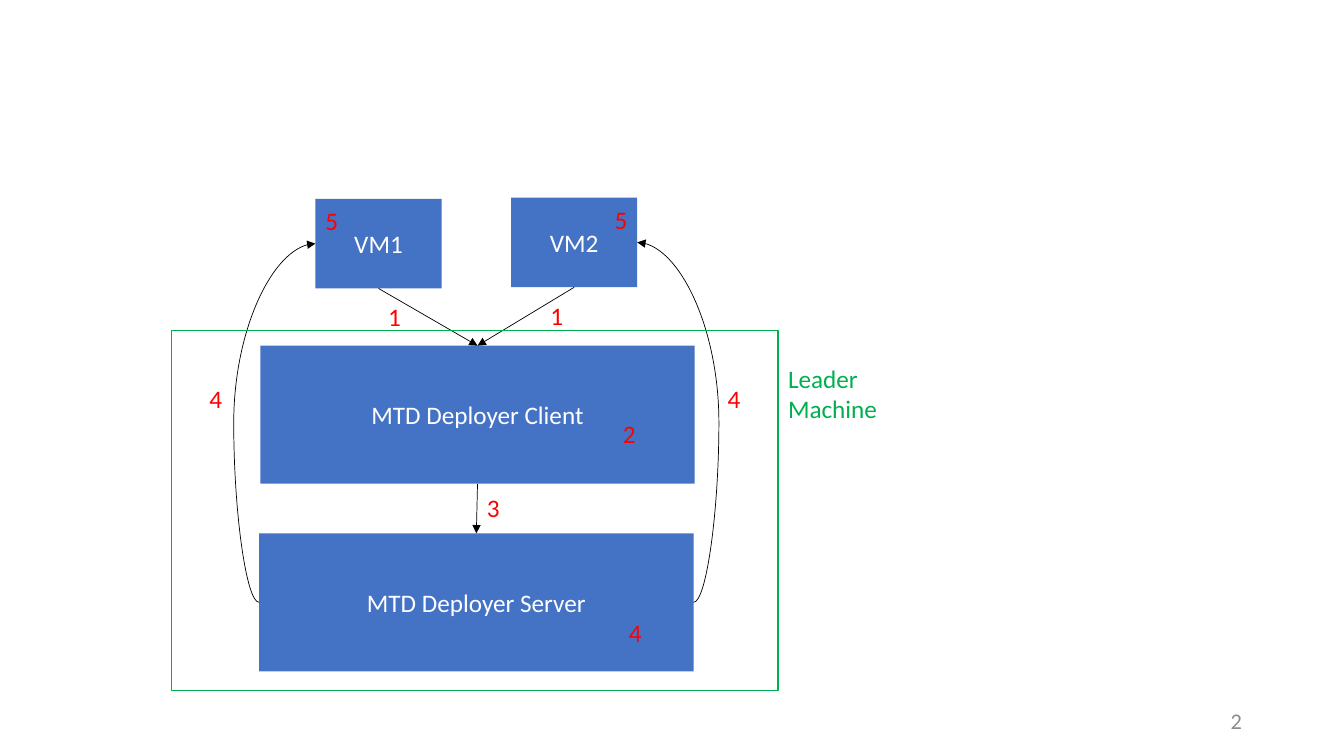
from lxml.etree import SubElement
from pptx import Presentation
from pptx.dml.color import RGBColor
from pptx.enum.shapes import MSO_CONNECTOR, MSO_SHAPE
from pptx.enum.text import MSO_ANCHOR, MSO_AUTO_SIZE, PP_ALIGN
from pptx.oxml.ns import qn
from pptx.util import Cm, Pt

BLUE = RGBColor(0x44, 0x72, 0xC4)
WHITE = RGBColor(0xFF, 0xFF, 0xFF)
BLACK = RGBColor(0x00, 0x00, 0x00)
RED = RGBColor(0xFF, 0x00, 0x00)
GREEN = RGBColor(0x00, 0xB0, 0x50)
GRAY = RGBColor(0x8C, 0x8C, 0x8C)
FONT = "Calibri"
TOP, LEFT, BOTTOM, RIGHT = range(4)

MACHINE_SIZE = (3.18, 2.26)
DEPLOYER_SIZE = (10.95, 3.48)
STEP_SIZE = (2.08, 1.02)
STEPS = [
    ("1", 9.3, 2.46), ("1", 5.21, 2.49),
    ("2", 11.13, 5.44), ("3", 7.7, 7.29),
    ("4", 11.28, 10.44), ("4", 0.71, 4.55), ("4", 13.77, 4.55),
    ("5", 10.92, 0.05), ("5", 3.63, 0.08),
]


def write_text(shape, text, color, size=18, alignment=PP_ALIGN.LEFT):
    shape.text_frame.word_wrap = True
    paragraph = shape.text_frame.paragraphs[0]
    paragraph.alignment = alignment
    run = paragraph.add_run()
    run.text = text
    run.font.name = FONT
    run.font.size = Pt(size)
    run.font.color.rgb = color


def add_label(slide, text, left, top, width, height, color):
    label = slide.shapes.add_textbox(Cm(left), Cm(top), Cm(width), Cm(height))
    write_text(label, text, color)
    label.text_frame.auto_size = MSO_AUTO_SIZE.SHAPE_TO_FIT_TEXT


def add_rectangle(slide, left, top, width, height):
    rectangle = slide.shapes.add_shape(
        MSO_SHAPE.RECTANGLE, Cm(left), Cm(top), Cm(width), Cm(height))
    rectangle.shadow.inherit = False
    return rectangle


def add_block(slide, text, left, top, size):
    block = add_rectangle(slide, left, top, *size)
    block.fill.solid()
    block.fill.fore_color.rgb = BLUE
    block.line.fill.background()
    block.text_frame.vertical_anchor = MSO_ANCHOR.MIDDLE
    write_text(block, text, WHITE, alignment=PP_ALIGN.CENTER)
    return block


def add_arrow(slide, source, source_side, target, target_side, bend=None):
    kind = MSO_CONNECTOR.STRAIGHT if bend is None else MSO_CONNECTOR.CURVE
    arrow = slide.shapes.add_connector(kind, 0, 0, 0, 0)
    arrow.begin_connect(source, source_side)
    arrow.end_connect(target, target_side)
    arrow.line.color.rgb = BLACK
    arrow.line.width = Pt(0.5)
    properties = arrow.element.spPr
    SubElement(properties.find(qn("a:ln")), qn("a:tailEnd"), type="triangle")
    SubElement(properties, qn("a:effectLst"))
    if bend is not None:
        adjustments = properties.find(qn("a:prstGeom")).find(qn("a:avLst"))
        SubElement(adjustments, qn("a:gd"), name="adj1",
                   fmla=f"val {round(bend * 100000)}")


def add_deployment_diagram(slide, left, top):
    first_machine = add_block(slide, "VM1", left + 3.63, top + 0.03, MACHINE_SIZE)
    second_machine = add_block(slide, "VM2", left + 8.56, top, MACHINE_SIZE)
    client = add_block(slide, "MTD Deployer Client", left + 2.24, top + 3.73, DEPLOYER_SIZE)
    server = add_block(slide, "MTD Deployer Server", left + 2.21, top + 8.46, DEPLOYER_SIZE)

    for machine, side in ((first_machine, LEFT), (second_machine, RIGHT)):
        add_arrow(slide, machine, BOTTOM, client, TOP)
        add_arrow(slide, server, side, machine, side, bend=-0.45)
    add_arrow(slide, client, BOTTOM, server, TOP)

    for text, step_left, step_top in STEPS:
        add_label(slide, text, left + step_left, top + step_top, *STEP_SIZE, RED)

    leader_frame = add_rectangle(slide, left, top + 3.35, 15.29, 9.07)
    leader_frame.fill.background()
    leader_frame.line.color.rgb = GREEN
    leader_frame.line.width = Pt(1)
    add_label(slide, "Leader Machine", left + 15.29, top + 4.04, 2.82, 1.8, GREEN)


def add_slide_number(slide, left, top, width, height):
    number = slide.shapes.add_textbox(Cm(left), Cm(top), Cm(width), Cm(height))
    number.text_frame.vertical_anchor = MSO_ANCHOR.MIDDLE
    write_text(number, "2", GRAY, size=16, alignment=PP_ALIGN.RIGHT)


presentation = Presentation()
presentation.slide_width = Cm(33.87)
presentation.slide_height = Cm(19.05)
slide = presentation.slides.add_slide(presentation.slide_layouts[6])
add_deployment_diagram(slide, 4.32, 4.98)
add_slide_number(slide, 23.93, 17.65, 7.62, 1.02)
presentation.save("out.pptx")
